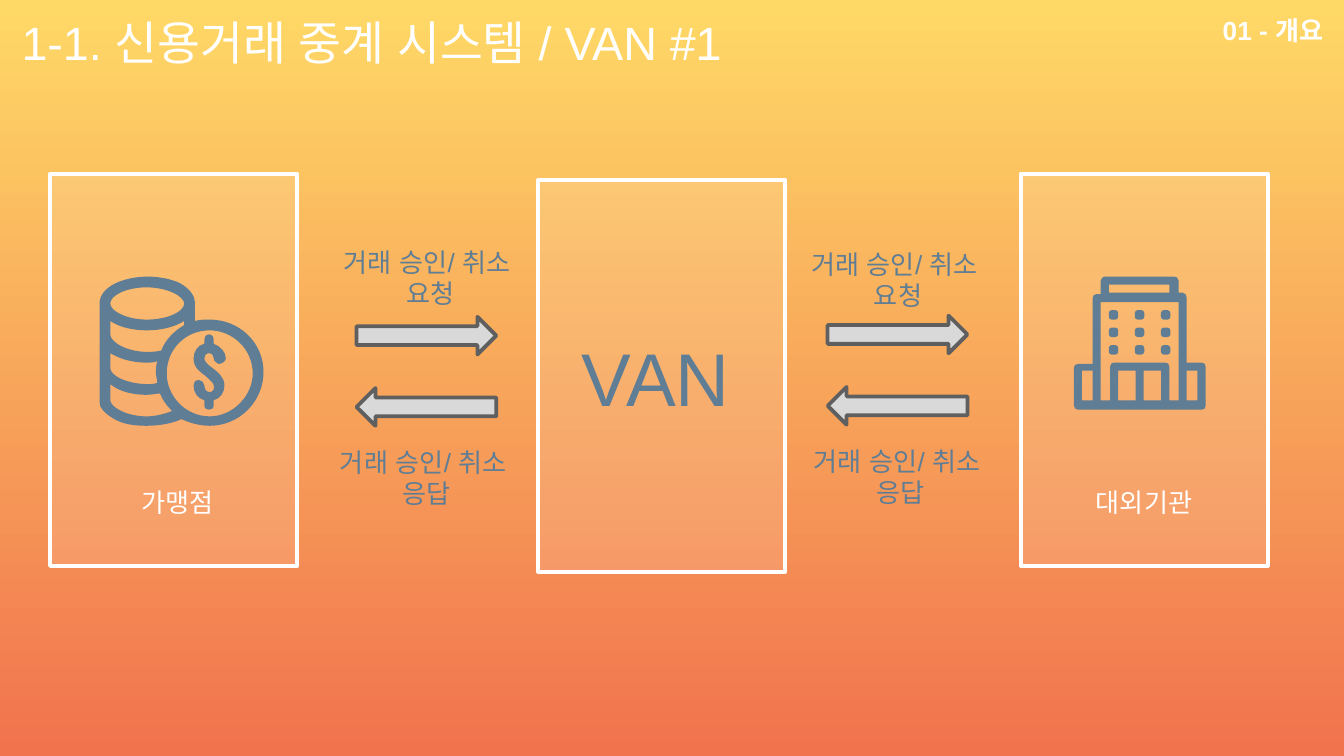
from lxml import etree
from pptx import Presentation
from pptx import util as u
from pptx.dml import color
from pptx.enum import shapes, text
from pptx.oxml import ns

Pt = u.Pt
WHITE, SLATE, GREY, DARK_GREY = "FFFFFF", "5F7D95", "D9D9D9", "5F5F5F"
PANEL_WIDTH, PANEL_HEIGHT = 132.3, 210
ARROW_WIDTH, ARROW_HEIGHT, ARROW_STEP = 74.9, 20.2, 38.2
LABEL_WIDTH, LABEL_HEIGHT = 141.1, 41
ICON_UNIT = 0.72

BUILDING = [
    [(23, 0), (22, 0, 20, 1, 20, 3), (20, 13), (17, 13), (15, 13, 14, 14, 14, 16),
     (14, 65), (3, 65), (1, 65, 0, 66, 0, 68), (0, 96), (0, 98, 2, 99, 3, 99),
     (95, 99), (97, 99, 98, 98, 98, 96), (98, 67), (98, 65, 97, 64, 95, 64),
     (84, 64), (84, 16), (84, 14, 83, 12, 81, 12), (78, 12), (78, 3),
     (78, 1, 76, 0, 75, 0)],
    [(78, 19), (78, 92), (71, 92), (71, 67), (71, 65, 70, 64, 68, 64), (30, 64),
     (28, 64, 27, 65, 27, 67), (27, 92), (20, 92), (20, 19)],
]
OPENINGS = [(26, 6, 71, 12), (6, 70, 14, 92), (33, 70, 46, 92), (52, 70, 65, 92),
            (84, 70, 92, 92)]
WINDOW = [(2, 0), (1, 0, 0, 1, 0, 2), (0, 5), (0, 6, 1, 7, 2, 7), (5, 7),
          (6, 7, 7, 6, 7, 5), (7, 2), (7, 1, 6, 0, 5, 0)]
COINS = [
    [(36, 8), (52, 8, 64, 15, 64, 20), (64, 26, 52, 32, 36, 32),
     (22, 32, 9, 26, 9, 20), (9, 14, 21, 8, 36, 8)],
    [(64, 33), (64, 36), (56, 41, 50, 47, 47, 55), (43, 56, 40, 56, 36, 56),
     (22, 56, 9, 49, 9, 43), (9, 33), (16, 38, 27, 40, 36, 40), (46, 40, 56, 38, 64, 33)],
    [(9, 57), (14, 60, 23, 64, 36, 64), (39, 64, 41, 64, 44, 63), (43, 66, 43, 69, 43, 72),
     (43, 74, 44, 77, 44, 79), (42, 80, 39, 80, 37, 80), (22, 80, 9, 74, 9, 68)],
    [(9, 80), (16, 86, 27, 88, 36, 88), (40, 88, 43, 87, 46, 87), (48, 92, 51, 96, 55, 100),
     (50, 102, 43, 104, 36, 104), (21, 104, 9, 97, 9, 92)],
    [(83, 40), (100, 40, 115, 54, 115, 72), (115, 89, 100, 104, 83, 104),
     (65, 104, 51, 89, 51, 72), (51, 54, 65, 40, 83, 40)],
    [(37, 0), (18, 0, 1, 8, 1, 20), (1, 92), (0, 97, 5, 102, 12, 106),
     (19, 110, 27, 111, 36, 111), (46, 111, 56, 109, 62, 106), (68, 109, 76, 111, 83, 111),
     (105, 111, 123, 93, 123, 71), (123, 49, 105, 32, 83, 32), (79, 32, 76, 32, 72, 33),
     (72, 20), (72, 14, 68, 9, 61, 5), (55, 2, 46, 0, 37, 0)],
]
DOLLAR = [
    (83, 43), (80, 43, 79, 45, 79, 47), (79, 50), (74, 51, 71, 56, 71, 61),
    (71, 68, 76, 71, 80, 74), (83, 77, 86, 79, 86, 81), (87, 84, 85, 86, 83, 86),
    (80, 86, 79, 83, 79, 81), (79, 79, 77, 77, 75, 77), (72, 77, 71, 79, 71, 81),
    (71, 86, 74, 91, 79, 92), (79, 95), (79, 98, 80, 99, 83, 99), (85, 99, 86, 98, 86, 95),
    (86, 92), (91, 91, 94, 86, 94, 81), (94, 75, 89, 71, 85, 68), (82, 66, 79, 63, 79, 61),
    (79, 59, 80, 57, 83, 57), (85, 57, 86, 59, 86, 61), (86, 63, 89, 65, 90, 65),
    (92, 65, 95, 63, 95, 61), (95, 56, 91, 52, 86, 50), (86, 47), (86, 45, 85, 43, 83, 43),
]


def rgb(value):
    """Turn a hex string into a colour."""
    return color.RGBColor.from_string(value)


def add_text(slide, box, lines, size, hue, align=text.PP_ALIGN.LEFT, bold=False, inset=3.6):
    """Place a text box with one paragraph per line."""
    shape = slide.shapes.add_textbox(*map(Pt, box))
    frame = shape.text_frame
    frame.word_wrap = True
    frame.margin_top = frame.margin_bottom = Pt(inset)
    frame.text = lines
    for paragraph in frame.paragraphs:
        paragraph.alignment = align
        for run in paragraph.runs:
            run.font.size, run.font.bold, run.font.name = Pt(size), bold, "Arial"
            run.font.color.rgb = rgb(hue)
            etree.SubElement(run.font._element, ns.qn("a:ea"), typeface="Arial")


def add_block(slide, kind, box, fill, line, width, opacity=None):
    """Place a filled and outlined preset shape."""
    shape = slide.shapes.add_shape(kind, *map(Pt, box))
    shape.shadow.inherit = False
    shape.fill.solid()
    shape.fill.fore_color.rgb = rgb(fill)
    shape.line.color.rgb = rgb(line)
    shape.line.width = Pt(width)
    if opacity is not None:
        hue = shape.fill._xPr.find(ns.qn("a:solidFill"))[0]
        etree.SubElement(hue, ns.qn("a:alpha"), val=str(opacity * 1000))
    return shape


def bend_segments(shape, contours, corner):
    """Turn the lines that stand for six-number segments into cubic curves."""
    outline = shape._element.find(".//" + ns.qn("a:path"))
    lines = list(outline.iter(ns.qn("a:lnTo")))
    segments = [segment for contour in contours for segment in contour[1:]]
    curves = [index for index, segment in enumerate(segments) if len(segment) == 6]
    for index in curves:
        curve = etree.Element(ns.qn("a:cubicBezTo"))
        values = segments[index]
        for x, y in zip(values[::2], values[1::2]):
            etree.SubElement(curve, ns.qn("a:pt"), x=str((x - corner[0]) * Pt(ICON_UNIT)),
                             y=str((y - corner[1]) * Pt(ICON_UNIT)))
        outline.replace(lines[index], curve)


def add_outline(group, left, top, contours):
    """Draw contours as one shape, with inner contours as holes."""
    contours = [contour if contour[-1][-2:] == contour[0] else contour + [contour[0]]
                for contour in contours]
    ends = [[segment[-2:] for segment in contour] for contour in contours]
    scaled = [[(x * Pt(ICON_UNIT), y * Pt(ICON_UNIT)) for x, y in points] for points in ends]
    builder = group.shapes.build_freeform(*scaled[0][0], scale=1.0)
    for number, points in enumerate(scaled):
        if number:
            builder.move_to(*points[0])
        builder.add_line_segments(points[1:], close=True)
    shape = builder.convert_to_shape(Pt(left), Pt(top))
    corner = [min(point[axis] for points in ends for point in points) for axis in (0, 1)]
    bend_segments(shape, contours, corner)
    shape.shadow.inherit = False
    shape.fill.solid()
    shape.fill.fore_color.rgb = rgb(SLATE)
    shape.line.fill.background()


def add_building(slide, left, top):
    """Draw the office building icon."""
    group = slide.shapes.add_group_shape()
    for row in range(3):
        for column in range(3):
            x, y = 26 + 19.4 * column, 25 + 13 * row
            add_outline(group, left + x * ICON_UNIT, top + y * ICON_UNIT, [WINDOW])
    openings = [[(l, t), (r, t), (r, b), (l, b)] for l, t, r, b in OPENINGS]
    add_outline(group, left, top, BUILDING + openings)


def add_coins(slide, left, top):
    """Draw the coin stack icon."""
    group = slide.shapes.add_group_shape()
    add_outline(group, left, top, COINS)
    add_outline(group, left, top, [DOLLAR])


def add_panel(slide, left, top, caption=None, indent=0):
    """Place a translucent panel with an optional caption near its foot."""
    add_block(slide, shapes.MSO_SHAPE.RECTANGLE, (left, top, PANEL_WIDTH, PANEL_HEIGHT),
              WHITE, WHITE, 2.25, opacity=12)
    if caption:
        add_text(slide, (left + indent, top + 163.6, 97.9, 24.5), caption, 14, WHITE,
                 text.PP_ALIGN.CENTER)


def add_exchange(slide, left, top, request, request_rise, response_shift):
    """Place a request arrow over a response arrow, each with its label."""
    for row, rotation in enumerate((0, 180)):
        arrow = add_block(slide, shapes.MSO_SHAPE.RIGHT_ARROW,
                          (left, top + row * ARROW_STEP, ARROW_WIDTH, ARROW_HEIGHT),
                          GREY, DARK_GREY, 2)
        arrow.rotation = rotation
    label_left = left + 0.3 + (ARROW_WIDTH - LABEL_WIDTH) / 2
    for x, y, words in ((label_left, top - request_rise, request),
                        (label_left + response_shift, top + 65.8, "거래 승인/ 취소 \n응답")):
        add_text(slide, (x, y, LABEL_WIDTH, LABEL_HEIGHT), words, 14, SLATE,
                 text.PP_ALIGN.CENTER)


def add_header(slide):
    """Place the title and the section name."""
    add_text(slide, (4.5, 0, 450.7, 51.1), "1-1. 신용거래 중계 시스템 / VAN #1", 25, WHITE,
             inset=7.2)
    add_text(slide, (591.5, 4.3, 124.6, 24.5), "01 - 개요", 14, WHITE,
             text.PP_ALIGN.RIGHT, bold=True)


def set_background(slide):
    """Fill the background with a gradient from top to bottom."""
    fill = slide.background.fill
    fill.gradient()
    fill.gradient_angle = 270
    for stop, position, hue in zip(fill.gradient_stops, (0, 1), ("FFD966", "F1734E")):
        stop.position = position
        stop.color.rgb = rgb(hue)


def main():
    """Build and save the slide."""
    presentation = Presentation()
    presentation.slide_width, presentation.slide_height = Pt(720), Pt(405)
    slide = presentation.slides.add_slide(presentation.slide_layouts[6])
    set_background(slide)
    add_panel(slide, 288.3, 96.3)
    add_panel(slide, 546.8, 93.2, "대외기관", indent=17.2)
    add_panel(slide, 26.9, 93.2, "가맹점", indent=19.4)
    add_header(slide)
    add_building(slide, 575.3, 148.2)
    add_text(slide, (304.6, 174.2, 99.4, 55.4), "VAN", 40, SLATE)
    add_exchange(slide, 191, 169.7, "거래 승인/ 취소\n 요청", 41.3, 0)
    add_exchange(slide, 443.4, 169.1, "거래 승인/ 취소 \n요청", 39.5, 1.4)
    add_coins(slide, 52.6, 148.2)
    presentation.save("out.pptx")


if __name__ == "__main__":
    main()
